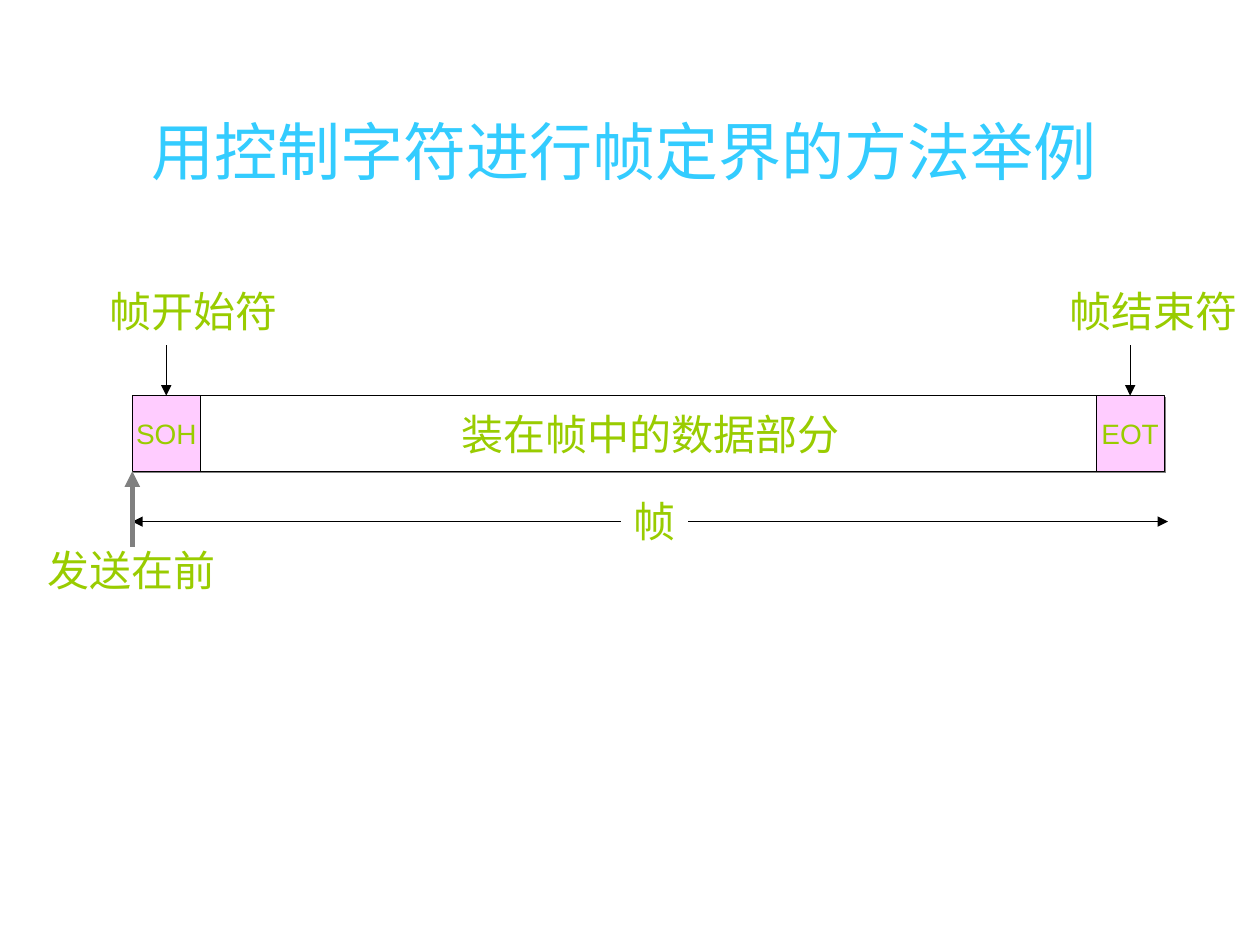
import pptx
import pptx.util
import pptx.dml.color
import pptx.enum.shapes
import pptx.enum.text
import pptx.oxml
import pptx.oxml.ns

COLORS = {
    "title": "33CCFF",
    "text": "99CC00",
    "control": "FFCCFF",
    "paper": "FFFFFF",
    "ink": "000000",
    "grey": "808080",
}
CENTER = pptx.enum.text.PP_ALIGN.CENTER
LEFT = pptx.enum.text.PP_ALIGN.LEFT
MIDDLE = pptx.enum.text.MSO_ANCHOR.MIDDLE
TOP = pptx.enum.text.MSO_ANCHOR.TOP
COLUMNS, ROWS = 100, 75


def rgb(color):
    return pptx.dml.color.RGBColor.from_string(COLORS[color])


class FrameSlide:
    font = "Arial"

    def __init__(self, deck):
        self.column = deck.slide_width / COLUMNS
        self.row = deck.slide_height / ROWS
        self.slide = deck.slides.add_slide(deck.slide_layouts[5])

    def place(self, left, top, width, height):
        return (round(left * self.column), round(top * self.row),
                round(width * self.column), round(height * self.row))

    def set_words(self, holder, text, size, color, align, anchor, wrap=False):
        frame = holder.text_frame
        frame.text = text
        frame.word_wrap = wrap
        frame.auto_size = pptx.enum.text.MSO_AUTO_SIZE.NONE
        frame.vertical_anchor = anchor
        paragraph = frame.paragraphs[0]
        paragraph.alignment = align
        for run in paragraph.runs:
            run.font.name = self.font
            run.font.size = pptx.util.Pt(size)
            run.font.color.rgb = rgb(color)

    def title(self, text, *cell):
        heading = self.slide.shapes.title
        heading.left, heading.top, heading.width, heading.height = self.place(*cell)
        self.set_words(heading, text, 36, "title", CENTER, MIDDLE, True)

    def field(self, text, size, fill, *cell):
        field = self.slide.shapes.add_shape(
            pptx.enum.shapes.MSO_SHAPE.RECTANGLE, *self.place(*cell))
        field.fill.solid()
        field.fill.fore_color.rgb = rgb(fill)
        field.line.color.rgb = rgb("ink")
        field.line.width = pptx.util.Pt(0.75)
        field.shadow.inherit = False
        effects = field._element.spPr.find(pptx.oxml.ns.qn("a:effectLst"))
        effects.append(pptx.oxml.parse_xml(
            f'<a:outerShdw {pptx.oxml.ns.nsdecls("a")} dist="17780" dir="2700000"'
            f' algn="ctr" rotWithShape="0"><a:srgbClr val="{COLORS["grey"]}"/>'
            '</a:outerShdw>'))
        self.set_words(field, text, size, "text", CENTER, MIDDLE)

    def label(self, text, left, top, width, fill=None):
        label = self.slide.shapes.add_textbox(*self.place(left, top, width, 5))
        if fill:
            label.fill.solid()
            label.fill.fore_color.rgb = rgb(fill)
        self.set_words(label, text, 24, "text", LEFT, TOP)

    def arrow(self, start, end, color="ink", width=0.75, both=False):
        x1, y1, x2, y2 = self.place(*start, *end)
        arrow = self.slide.shapes.add_connector(
            pptx.enum.shapes.MSO_CONNECTOR.STRAIGHT, x1, y1, x2, y2)
        arrow.line.color.rgb = rgb(color)
        arrow.line.width = pptx.util.Pt(width)
        stroke = arrow.line._get_or_add_ln()
        for end_name in ("headEnd", "tailEnd") if both else ("tailEnd",):
            stroke.append(pptx.oxml.parse_xml(
                f'<a:{end_name} {pptx.oxml.ns.nsdecls("a")} type="triangle"/>'))
        arrow._element.spPr.append(pptx.oxml.parse_xml(
            f'<a:effectLst {pptx.oxml.ns.nsdecls("a")}/>'))


def main():
    deck = pptx.Presentation()
    deck.slide_width = pptx.util.Inches(10)
    deck.slide_height = pptx.util.Inches(7.5)
    page = FrameSlide(deck)

    start, data, stop = 10.5, 15.9, 87
    top, height, control = 31.4, 6, 5.4
    bottom = top + height

    page.title("用控制字符进行帧定界的方法举例 ", 5.1, 8.4, 90, 7)
    page.field("SOH", 16, "control", start, top, control, height)
    page.field("装在帧中的数据部分", 24, "paper", data, top, 71.4, height)
    page.arrow((start, bottom + 4), (92.7, bottom + 4), both=True)
    page.label("帧", 49.3, 38.8, 5.3, "paper")
    for text, left, field in (("帧开始符", 7.7, start), ("帧结束符", 83.9, stop)):
        page.label(text, left, 22.2, 15.3)
        middle = field + control / 2
        page.arrow((middle, top - 4), (middle, top))
    page.arrow((start, bottom + 6), (start, bottom), "grey", 3)
    page.label("发送在前", 2.8, 42.7, 15.3)
    page.field("EOT", 16, "control", stop, top, control, height)

    deck.save("out.pptx")


if __name__ == "__main__":
    main()
